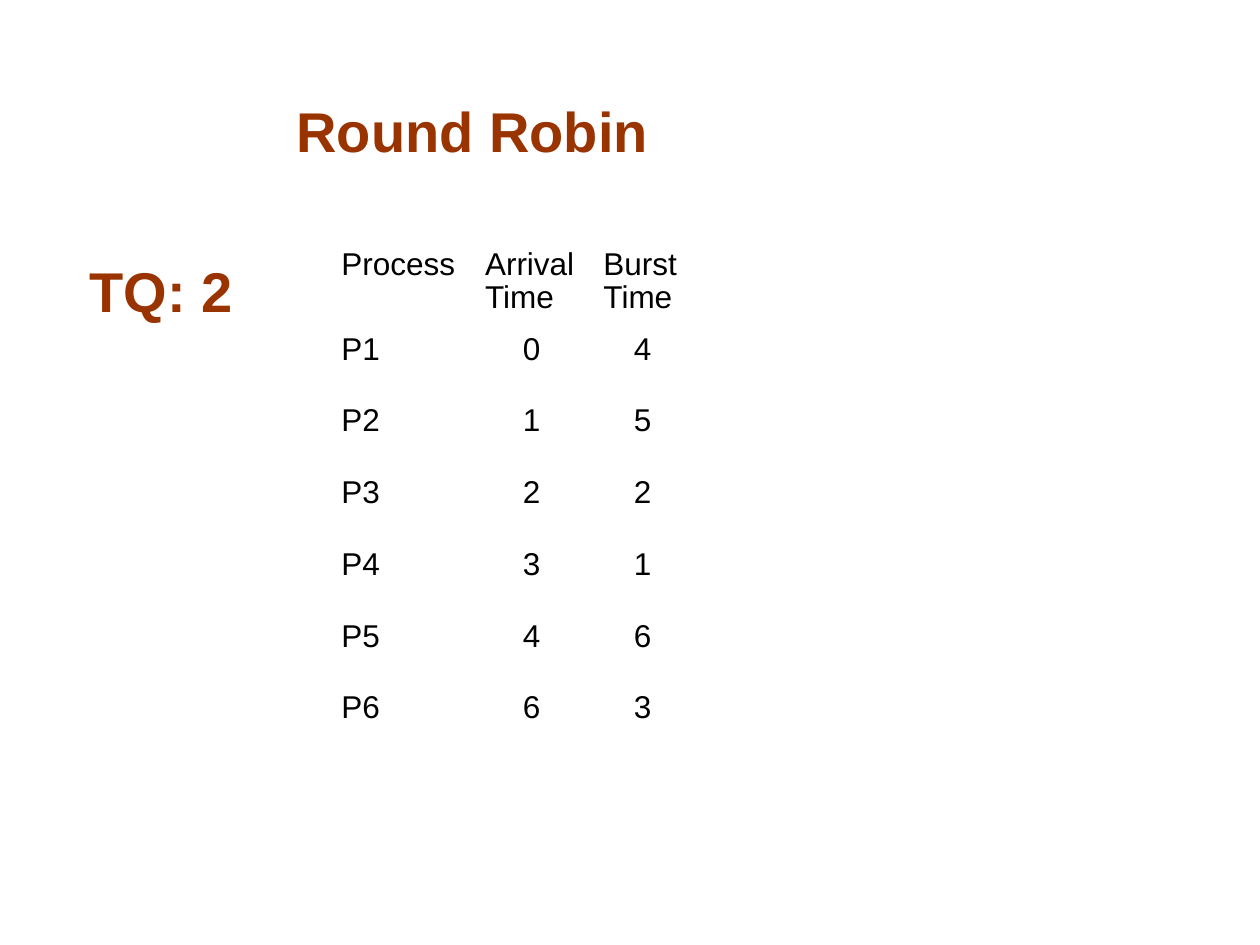
"""Build a slide with the process table of a round robin scheduling exercise."""
from dataclasses import dataclass

from pptx import Presentation
from pptx.dml.color import RGBColor
from pptx.enum.text import MSO_ANCHOR, PP_ALIGN
from pptx.slide import Slide
from pptx.util import Inches, Pt

RUST = RGBColor(0x99, 0x33, 0x00)
BLACK = RGBColor(0x00, 0x00, 0x00)

HEADERS = ["Process", "Arrival Time", "Burst Time"]
PROCESSES = [
    ("P1", 0, 4),
    ("P2", 1, 5),
    ("P3", 2, 2),
    ("P4", 3, 1),
    ("P5", 4, 6),
    ("P6", 6, 3),
]
COLUMN_WIDTHS = [1.14, 0.94, 0.82, 1.52]
HEADER_HEIGHT = 0.67
ROW_HEIGHT = 0.57


def write_text(text_frame, text, *, font_name, size, color, bold=False,
               alignment=PP_ALIGN.LEFT, line_spacing=1.0):
    paragraph = text_frame.paragraphs[0]
    paragraph.alignment = alignment
    paragraph.line_spacing = line_spacing
    run = paragraph.add_run()
    run.text = text
    run.font.name = font_name
    run.font.size = Pt(size)
    run.font.bold = bold
    run.font.color.rgb = color


@dataclass
class SlideBuilder:
    slide: Slide
    font_name: str = "Arial"
    heading_size: int = 32
    table_size: int = 18

    def format_heading(self, shape, text):
        text_frame = shape.text_frame
        text_frame.word_wrap = True
        text_frame.vertical_anchor = MSO_ANCHOR.BOTTOM
        write_text(text_frame, text, font_name=self.font_name, size=self.heading_size,
                   color=RUST, bold=True, alignment=PP_ALIGN.CENTER)

    def add_title(self, text, left, top, width, height):
        title = self.slide.shapes.title
        title.left, title.top = Inches(left), Inches(top)
        title.width, title.height = Inches(width), Inches(height)
        self.format_heading(title, text)

    def add_label(self, text, left, top, width, height):
        label = self.slide.shapes.add_textbox(
            Inches(left), Inches(top), Inches(width), Inches(height))
        self.format_heading(label, text)

    def add_table(self, rows, left, top):
        heights = [HEADER_HEIGHT] + [ROW_HEIGHT] * (len(rows) - 1)
        table = self.slide.shapes.add_table(
            len(rows), len(COLUMN_WIDTHS), Inches(left), Inches(top),
            Inches(sum(COLUMN_WIDTHS)), Inches(sum(heights))).table
        table.first_row = False
        table.horz_banding = False
        for column, width in zip(table.columns, COLUMN_WIDTHS):
            column.width = Inches(width)
        for row, height in zip(table.rows, heights):
            row.height = Inches(height)
        for cell in table.iter_cells():
            cell.fill.background()
        for row_index, values in enumerate(rows):
            for column_index, value in enumerate(values):
                is_number = isinstance(value, int)
                write_text(table.cell(row_index, column_index).text_frame, str(value),
                           font_name=self.font_name, size=self.table_size, color=BLACK,
                           alignment=PP_ALIGN.CENTER if is_number else PP_ALIGN.LEFT,
                           line_spacing=0.93)


def main():
    presentation = Presentation()
    presentation.slide_width = Inches(10)
    presentation.slide_height = Inches(7.5)
    title_only = presentation.slide_layouts[5]
    builder = SlideBuilder(presentation.slides.add_slide(title_only))
    builder.add_title("Round Robin", 0, 0.64, 7.5, 0.71)
    builder.add_table([HEADERS, *PROCESSES], 2.61, 1.93)
    builder.add_label("TQ: 2 ", 0.29, 1.91, 2.1, 0.71)
    presentation.save("out.pptx")


if __name__ == "__main__":
    main()
